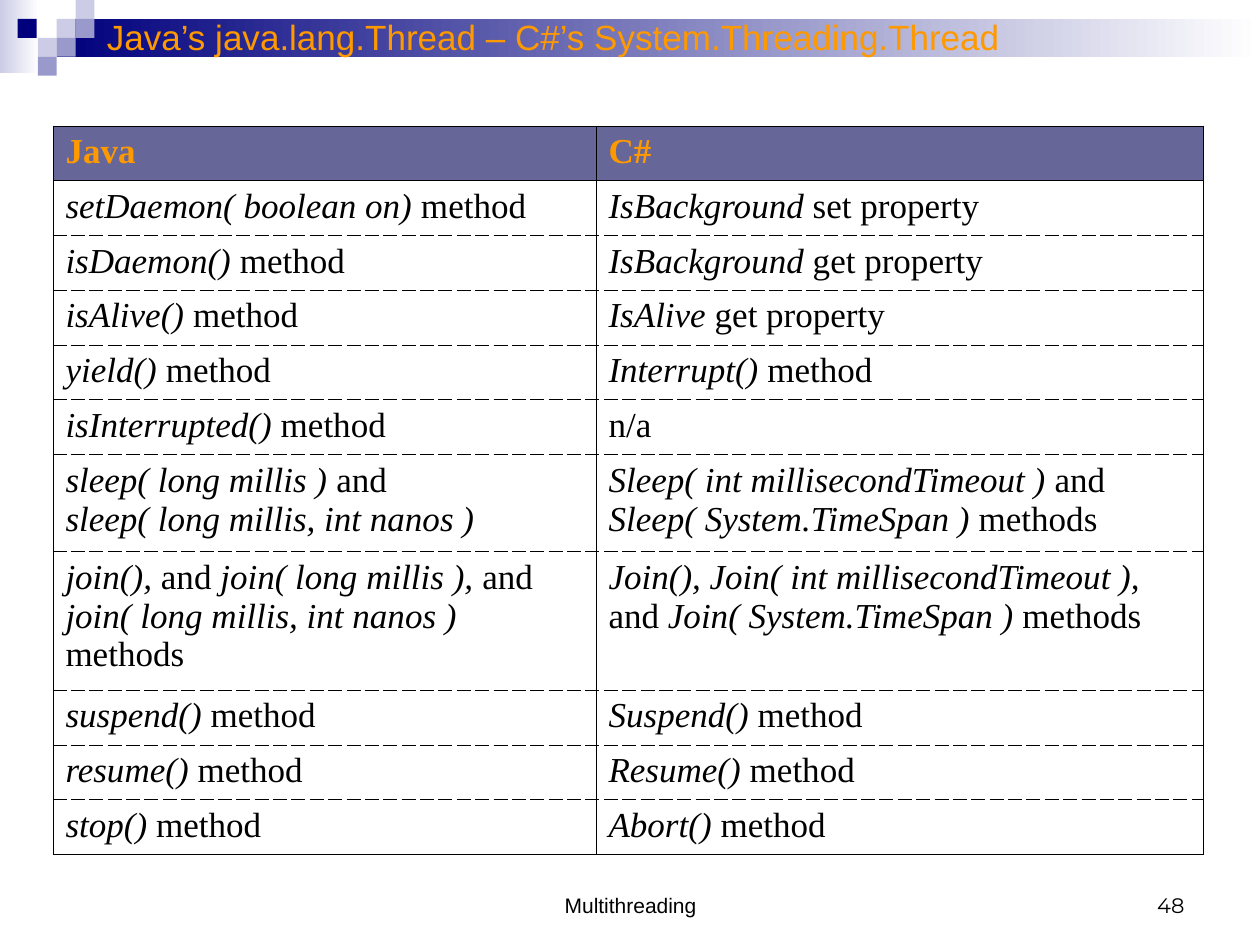
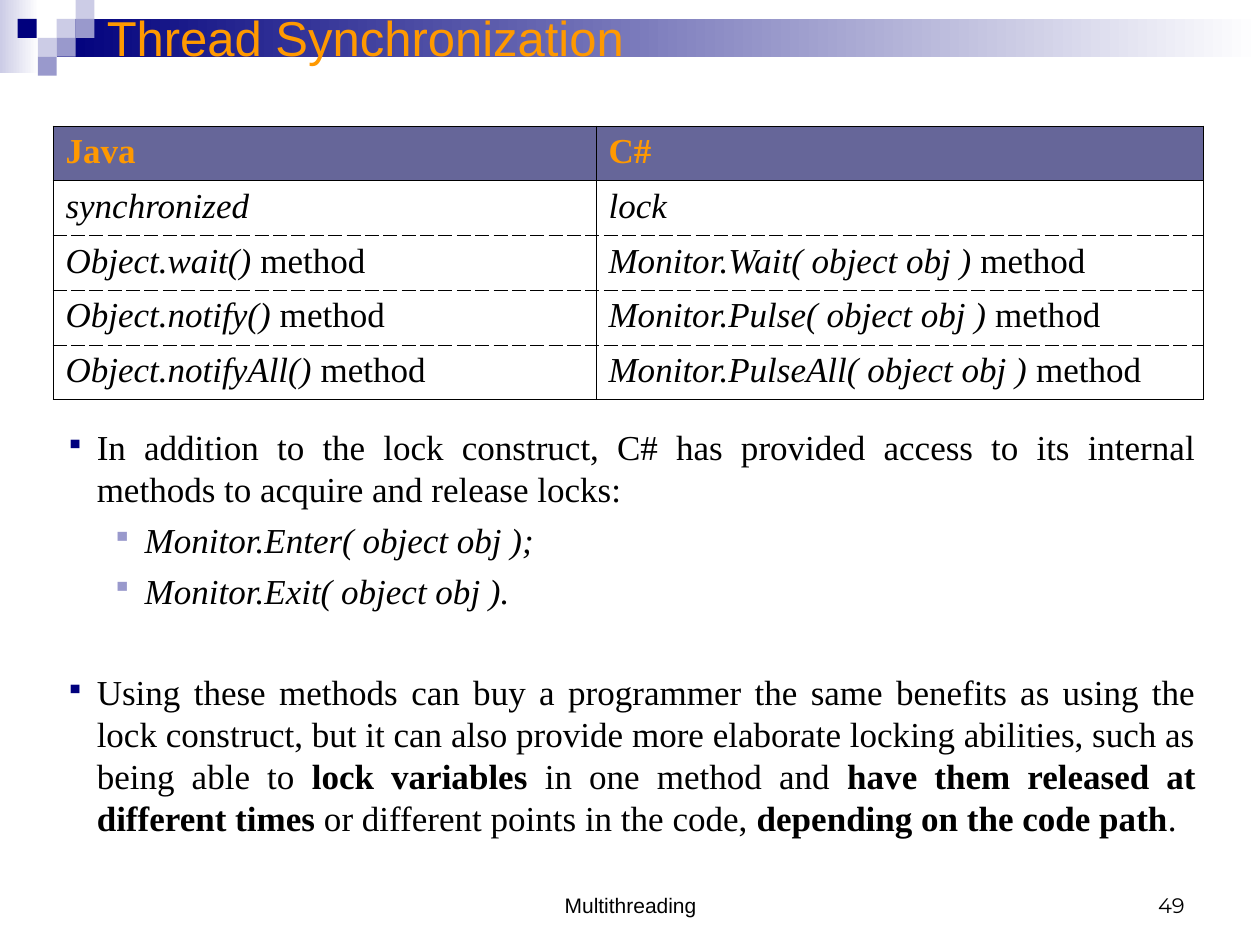
"""Build two slides that set Java threads beside C# threads."""
from dataclasses import dataclass
from typing import NamedTuple

import lxml.etree
import pptx
import pptx.dml.color
import pptx.enum.shapes
import pptx.enum.text
import pptx.oxml.ns
import pptx.util

Inches = pptx.util.Inches
Pt = pptx.util.Pt
RGB = pptx.dml.color.RGBColor
Align = pptx.enum.text.PP_ALIGN
Anchor = pptx.enum.text.MSO_ANCHOR
qn = pptx.oxml.ns.qn

NAVY = RGB(0x00, 0x00, 0x7D)
LILAC = RGB(0x99, 0x99, 0xCC)
PALE = RGB(0xCC, 0xCC, 0xE6)
SLATE = RGB(0x66, 0x66, 0x99)
ORANGE = RGB(0xFF, 0x99, 0x00)
BLACK = RGB(0x00, 0x00, 0x00)
WHITE = RGB(0xFF, 0xFF, 0xFF)

SERIF = "Times New Roman"
SANS = "Arial"
TILE = 0.15
ROW = 0.435
COLS = (4.31, 4.82)


class Box(NamedTuple):
    """Place and size in inches."""

    left: float
    top: float
    width: float
    height: float

    def emu(self) -> list[int]:
        """Give the four lengths to python-pptx."""
        return [Inches(side) for side in self]


@dataclass(frozen=True)
class Style:
    """Look of a paragraph."""

    face: str
    size: int
    tint: RGB = BLACK
    bold: bool = False
    align: Align = Align.LEFT


@dataclass(frozen=True)
class Band:
    """Rectangle with a plain fill or a fade to white."""

    box: Box
    tint: RGB
    fade: bool = False


@dataclass(frozen=True)
class Level:
    """Bullet and indent of a list level."""

    left: float
    hang: float
    tint: RGB
    scale: int


@dataclass(frozen=True)
class Point:
    """Item of the list; starred parts stand out."""

    text: str
    level: Level
    mark: str = "bold"
    before: int = 5


@dataclass(frozen=True)
class Page:
    """Content of one slide."""

    number: int
    title: str
    size: int
    rows: list[tuple[str, str]]
    tall: dict[int, float]
    points: tuple[Point, ...] = ()


def tile(left: float, top: float, tint: RGB) -> Band:
    """Make one small square of the corner motif."""
    return Band(Box(left, top, TILE, TILE), tint)


BANDS = (
    Band(Box(0, 0, 0.31, 0.58), PALE, True),
    Band(Box(0.45, 0.15, 9.55, 0.3), NAVY, True),
    tile(0.45, 0.15, PALE),
    tile(0.6, 0, PALE),
    tile(0.6, 0.15, LILAC),
    tile(0.3, 0.3, PALE),
    tile(0.14, 0.15, NAVY),
    tile(0.45, 0.3, LILAC),
    tile(0.3, 0.45, LILAC),
)
HEAD = Style(SERIF, 20, ORANGE, bold=True)
CELL = Style(SERIF, 20)
BODY = Style(SERIF, 20, align=Align.JUSTIFY)
FOOT = Style(SANS, 12, align=Align.CENTER)
COUNT = Style("Montserrat", 12, align=Align.RIGHT)
OUTER = Level(0.25, 0.25, NAVY, 75)
INNER = Level(0.63, 0.26, LILAC, 80)

PAGES = (
    Page(
        48,
        "Java’s java.lang.Thread – C#’s System.Threading.Thread",
        20,
        [
            ("*setDaemon( boolean on)* method", "*IsBackground *set property"),
            ("*isDaemon()* method", "*IsBackground* get property"),
            ("*isAlive()* method", "*IsAlive* get property"),
            ("*yield()* method", "*Interrupt()* method"),
            ("*isInterrupted()* method", "n/a"),
            (
                "*sleep( long millis )* and\n*sleep( long millis, int nanos )*",
                "*Sleep( int millisecondTimeout )* and "
                "*Sleep( System.TimeSpan )* methods",
            ),
            (
                "*join(),* and *join( long millis ),* and "
                "*join( long millis, int nanos )* methods",
                "*Join(), Join( int millisecondTimeout ),* and "
                "*Join( System.TimeSpan )* methods",
            ),
            ("*suspend()* method", "*Suspend()* method"),
            ("*resume()* method", "*Resume()* method"),
            ("*stop()* method", "*Abort()* method"),
        ],
        {6: 0.77, 7: 1.1},
    ),
    Page(
        49,
        "Thread Synchronization",
        28,
        [
            ("*synchronized*", "*lock*"),
            ("*Object.wait()* method", "*Monitor.Wait( object obj )* method"),
            ("*Object.notify()* method", "*Monitor.Pulse( object obj )* method"),
            ("*Object.notifyAll()* method", "*Monitor.PulseAll( object obj )* method"),
        ],
        {},
        (
            Point(
                "In addition to the lock construct, C# has provided access to its "
                "internal methods to acquire and release locks:",
                OUTER,
            ),
            Point("*Monitor.Enter( object obj );*", INNER, "italic"),
            Point("*Monitor.Exit( object obj ).*", INNER, "italic"),
            Point(
                "Using these methods can buy a programmer the same benefits as using "
                "the lock construct, but it can also provide more elaborate locking "
                "abilities, such as being able to *lock variables* in one method and "
                "*have them released at different times* or different points in the "
                "code, *depending on the code path*.",
                OUTER,
                before=34,
            ),
        ),
    ),
)


def write(par, text: str, style: Style, mark: str = "italic") -> None:
    """Fill a paragraph, giving starred parts the marked look."""
    par.alignment = style.align
    font = par.font
    font.name, font.size, font.bold = style.face, Pt(style.size), style.bold
    font.color.rgb = style.tint
    for spot, part in enumerate(text.split("*")):
        if part:
            run = par.add_run()
            run.text = part
            if spot % 2:
                setattr(run.font, mark, True)


def add_text(slide, box: Box, text: str, style: Style, anchor: Anchor) -> None:
    """Add a text box with one paragraph."""
    frame = slide.shapes.add_textbox(*box.emu()).text_frame
    frame.word_wrap = True
    frame.vertical_anchor = anchor
    write(frame.paragraphs[0], text, style)


def add_band(slide, band: Band) -> None:
    """Draw one band or tile."""
    kind = pptx.enum.shapes.MSO_SHAPE.RECTANGLE
    shape = slide.shapes.add_shape(kind, *band.box.emu())
    shape.shadow.inherit = False
    shape.line.fill.background()
    if band.fade:
        shape.fill.gradient()
        shape.fill.gradient_angle = 0
        for stop, tint in zip(shape.fill.gradient_stops, (band.tint, WHITE)):
            stop.color.rgb = tint
    else:
        shape.fill.solid()
        shape.fill.fore_color.rgb = band.tint


def add_edge(cell, spot: int, side: str, dash: str) -> None:
    """Add one thin border line to a cell."""
    edge = lxml.etree.Element(qn(f"a:ln{side}"), w=str(Pt(0.45)))
    fill = lxml.etree.SubElement(edge, qn("a:solidFill"))
    lxml.etree.SubElement(fill, qn("a:srgbClr"), val=str(BLACK))
    lxml.etree.SubElement(edge, qn("a:prstDash"), val=dash)
    cell._tc.get_or_add_tcPr().insert(spot, edge)


def add_grid(slide, page: Page) -> None:
    """Add the table with solid outer and dashed inner rules."""
    rows = [("Java", "C#"), *page.rows]
    highs = [page.tall.get(row, ROW) for row in range(len(rows))]
    box = Box(0.42, 1, sum(COLS), sum(highs))
    table = slide.shapes.add_table(len(rows), len(COLS), *box.emu()).table
    table.first_row = table.horz_banding = False
    for col, width in zip(table.columns, COLS):
        col.width = Inches(width)
    for row, (texts, high) in enumerate(zip(rows, highs)):
        table.rows[row].height = Inches(high)
        top = "dash" if row > 1 else "solid"
        base = "dash" if 0 < row < len(rows) - 1 else "solid"
        for col, text in enumerate(texts):
            cell = table.cell(row, col)
            if row:
                cell.fill.background()
            else:
                cell.fill.solid()
                cell.fill.fore_color.rgb = SLATE
            for spot, (side, dash) in enumerate(zip("LRTB", ("solid", "solid", top, base))):
                add_edge(cell, spot, side, dash)
            frame = cell.text_frame
            for item, line in enumerate(text.split("\n")):
                par = frame.add_paragraph() if item else frame.paragraphs[0]
                write(par, line, CELL if row else HEAD)


def add_mark(par, level: Level) -> None:
    """Give a paragraph its bullet and hanging indent."""
    props = par._p.get_or_add_pPr()
    props.set("marL", str(Inches(level.left)))
    props.set("indent", str(-Inches(level.hang)))
    tint = lxml.etree.SubElement(props, qn("a:buClr"))
    lxml.etree.SubElement(tint, qn("a:srgbClr"), val=str(level.tint))
    lxml.etree.SubElement(props, qn("a:buSzPct"), val=str(level.scale * 1000))
    lxml.etree.SubElement(props, qn("a:buChar"), char="▪")


def add_list(slide, points: tuple[Point, ...]) -> None:
    """Add the bullet list below the table."""
    frame = slide.shapes.add_textbox(*Box(0.42, 3.33, 9.17, 3.5).emu()).text_frame
    frame.word_wrap = True
    for item, point in enumerate(points):
        par = frame.add_paragraph() if item else frame.paragraphs[0]
        add_mark(par, point.level)
        par.space_before = Pt(point.before)
        par.line_spacing = Pt(24)
        write(par, point.text, BODY, point.mark)


def add_page(deck, page: Page) -> None:
    """Add one slide with bands, title, table, list and footer."""
    slide = deck.slides.add_slide(deck.slide_layouts[6])
    for band in BANDS:
        add_band(slide, band)
    add_text(slide, Box(3.42, 6.83, 3.17, 0.5), "Multithreading", FOOT, Anchor.BOTTOM)
    add_text(slide, Box(7.17, 6.83, 2.33, 0.5), str(page.number), COUNT, Anchor.BOTTOM)
    title = Style(SANS, page.size, ORANGE)
    add_text(slide, Box(0.75, 0, 8.5, 0.58), page.title, title, Anchor.MIDDLE)
    add_grid(slide, page)
    if page.points:
        add_list(slide, page.points)


def main() -> None:
    """Build and save the deck."""
    deck = pptx.Presentation()
    deck.slide_width, deck.slide_height = Inches(10), Inches(7.5)
    for page in PAGES:
        add_page(deck, page)
    deck.save("out.pptx")


if __name__ == "__main__":
    main()
